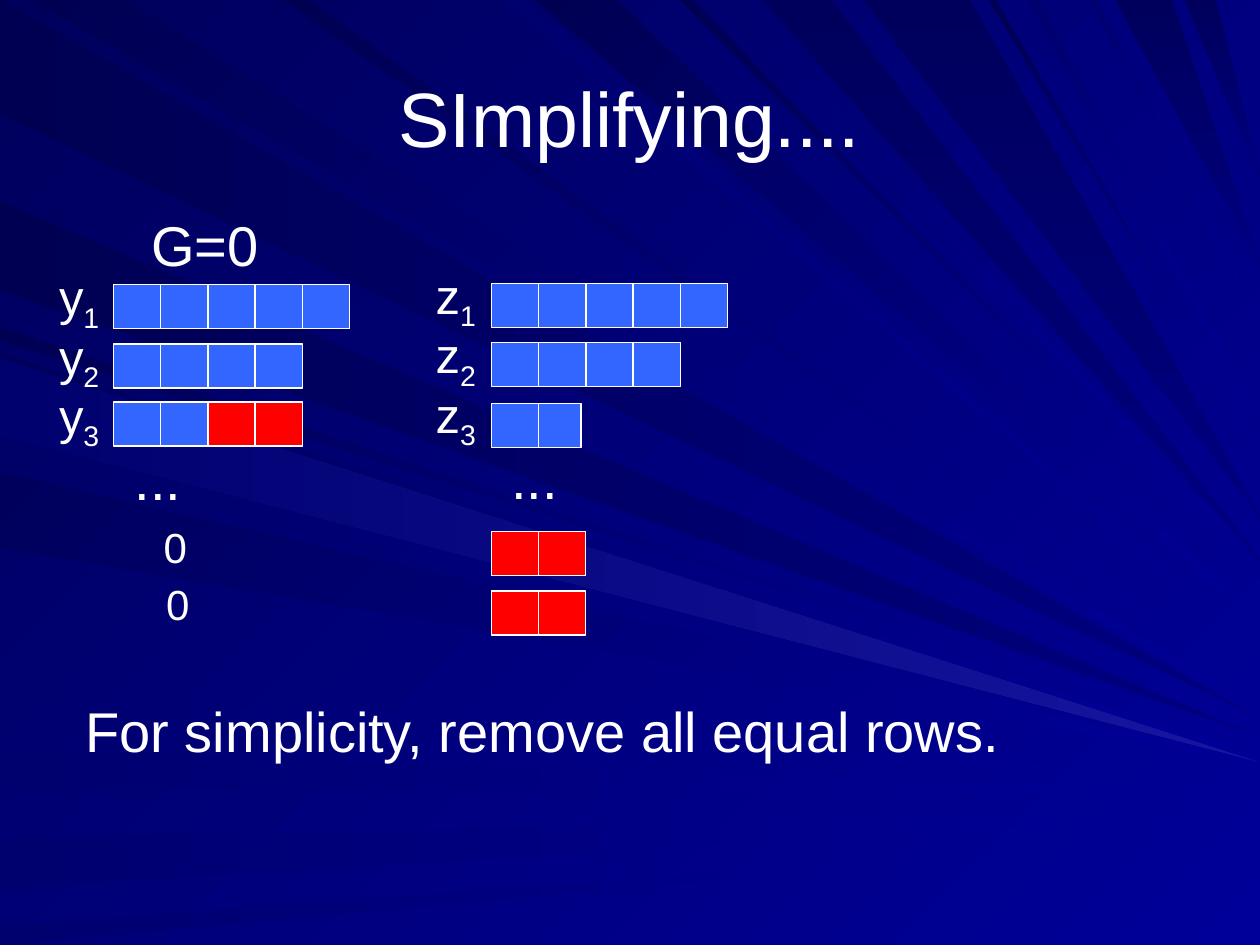
from math import ceil

from pptx import Presentation
from pptx.dml.color import RGBColor
from pptx.enum.shapes import MSO_CONNECTOR, MSO_SHAPE
from pptx.enum.text import MSO_ANCHOR, PP_ALIGN
from pptx.oxml.xmlchemy import OxmlElement
from pptx.util import Inches, Pt

WHITE = RGBColor(0xFF, 0xFF, 0xFF)
CELL = RGBColor(0x33, 0x66, 0xFF)
RED = RGBColor(0xFF, 0, 0)
MIST = RGBColor(0x16, 0x16, 0xA1)
BLUE = RGBColor(0, 0, 0x99)
NAVY = RGBColor(0, 0, 0x80)
DUSK = RGBColor(0, 0, 0x6E)
DEEP = RGBColor(0, 0, 0x5C)
DARK = RGBColor(0, 0, 0x53)


def paint(fill, first, last, angle):
    """Fill with a two-tone gradient whose angle runs clockwise."""
    fill.gradient()
    fill.gradient_angle = 360 - angle
    for stop, tone in zip(fill.gradient_stops, (first, last)):
        stop.color.rgb = tone


def write(x, y, w, h, text, size, sub=""):
    """Add a white text box, with an optional subscript after the text."""
    box = slide.shapes.add_textbox(Inches(x), Inches(y), Inches(w), Inches(h))
    box.text_frame.word_wrap = False
    par = box.text_frame.paragraphs[0]
    par.font.name = "Arial"
    par.font.size = Pt(size)
    par.font.color.rgb = WHITE
    par.add_run().text = text
    if sub:
        low = par.add_run()
        low.text = sub
        low.font._element.set("baseline", "-25000")
    return box


deck = Presentation()
deck.slide_width, deck.slide_height = Inches(10), Inches(7.5)
slide = deck.slides.add_slide(deck.slide_layouts[6])
paint(slide.background.fill, BLUE, DEEP, 225)

# Each ray runs from a stretch of the left or top edge to a tip on the right edge
rays = [
    ("left", NAVY, DARK, 180, [(0, 0.9, 5.7), (1.6, 2.3, 5.85)]),
    ("left", BLUE, DARK, 225, [(2.6, 2.7, 5.9)]),
    ("left", BLUE, DEEP, 225, [(2.8, 3.4, 6), (3.75, 4.35, 6.05)]),
    ("left", BLUE, DUSK, 180, [(5.95, 6.25, 6.3), (6.65, 7.05, 6.45),
                               (7.35, 7.5, 6.6), (5.5, 5.6, 6.2)]),
    ("left", MIST, DUSK, 180, [(2.85, 3.45, 6.05)]),
    ("top", BLUE, DARK, 225, [(0.25, 1, 5.65), (4.25, 4.9, 4.95), (5.4, 5.5, 4.65),
                              (2.25, 2.45, 5.5), (7.85, 7.9, 3.6)]),
    ("top", BLUE, DUSK, 225, [(4, 4.15, 5.2), (5.75, 5.9, 4.55),
                              (8.15, 8.25, 3.35), (8.65, 8.7, 2.55)]),
    ("top", DEEP, NAVY, 90, [(6.05, 6.6, 4.45), (6.85, 7.7, 4.1),
                             (8.85, 9.3, 2.1), (9.4, 9.65, 1.4)]),
]
for edge, first, last, angle, group in rays:
    for near, far, tip in group:
        ends = [(0, Inches(v)) if edge == "left" else (Inches(v), 0) for v in (near, far)]
        pen = slide.shapes.build_freeform(Inches(10), Inches(tip))
        pen.add_line_segments(ends, close=True)
        ray = pen.convert_to_shape()
        ray.shadow.inherit = False
        ray.line.fill.background()
        paint(ray.fill, first, last, angle)

title = write(0.5, 0.3, 9, 1.25, "SImplifying....", 44)
title.text_frame.word_wrap = True
title.text_frame.vertical_anchor = MSO_ANCHOR.MIDDLE
title.text_frame.paragraphs[0].alignment = PP_ALIGN.CENTER

# Bars: left, top, length in cells, colour
step, tall = 0.375, 0.35
bars = [
    (0.9, 2.26, 5, CELL),
    (0.9, 2.73, 4, CELL),
    (0.9, 3.19, 4, CELL),
    (1.65, 3.19, 2, RED),
    (3.9, 2.25, 5, CELL),
    (3.9, 2.72, 4, CELL),
    (3.9, 3.2, 1.9, CELL),
    (3.9, 4.22, 2, RED),
    (3.9, 4.69, 2, RED),
]
for x, y, cells, tone in bars:
    bar = slide.shapes.add_shape(
        MSO_SHAPE.RECTANGLE, Inches(x), Inches(y), Inches(cells * step), Inches(tall))
    bar.shadow.inherit = False
    bar.fill.solid()
    bar.fill.fore_color.rgb = tone
    bar.line.color.rgb = WHITE
    bar.line.width = Pt(0.75)
    for i in range(1, ceil(cells)):
        cut = Inches(x + i * step)
        rule = slide.shapes.add_connector(
            MSO_CONNECTOR.STRAIGHT, cut, Inches(y), cut, Inches(y + tall))
        rule.line.color.rgb = WHITE
        rule.line.width = Pt(0.75)
        rule._element.spPr.append(OxmlElement("a:effectLst"))
        if 2 * i == cells:
            rule.begin_connect(bar, 0)
            rule.end_connect(bar, 2)

for name, x, y in (("y", 0.37, 2.07), ("z", 3.36, 2.06)):
    for i in range(3):
        write(x, y + i * 0.47, 0.52, 0.63, name, 28, str(i + 1))
    write(x + 0.6, y + 1.41, 0.57, 0.64, "...", 32)

write(1.1, 1.62, 1.05, 0.64, "G=0", 32)
write(1.2, 4.09, 0.38, 0.5, "0", 24)
write(1.22, 4.54, 0.38, 0.5, "0", 24)
write(0.58, 5.48, 7.49, 0.64, "For simplicity, remove all equal rows.", 32)

deck.save("out.pptx")
